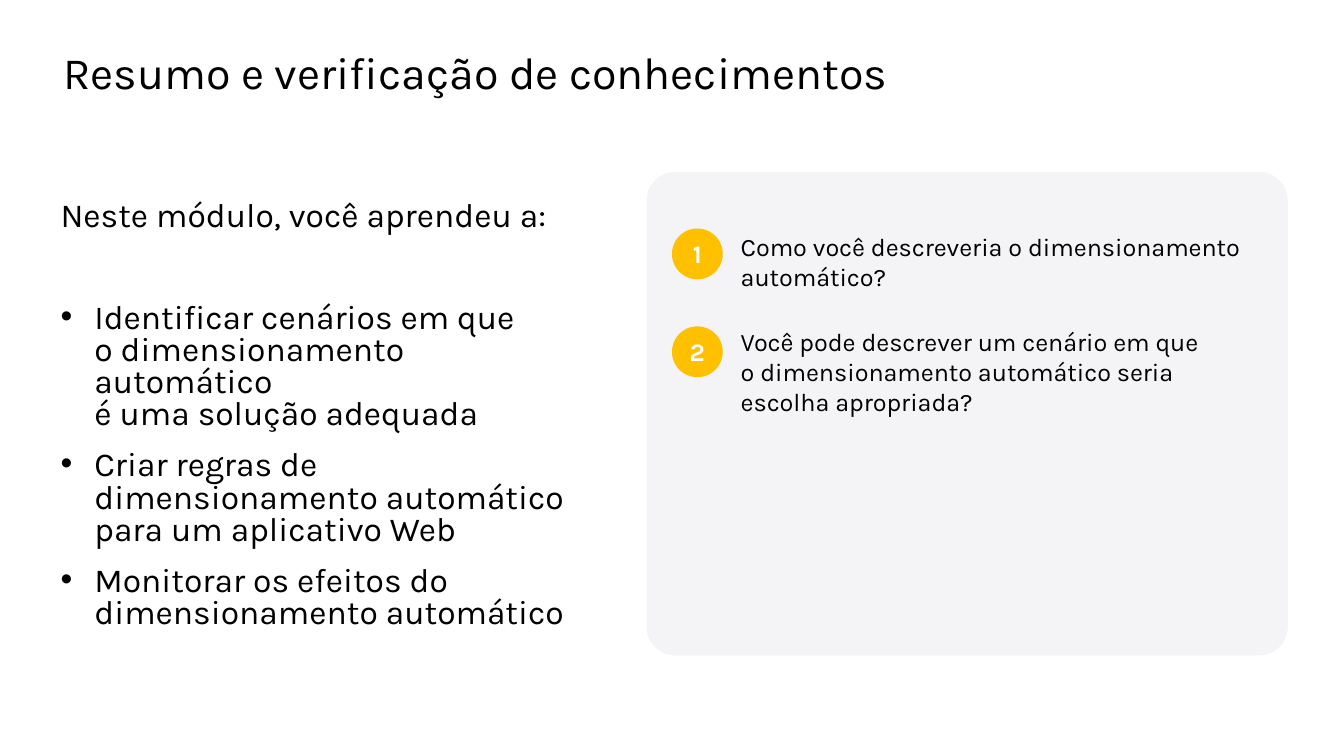
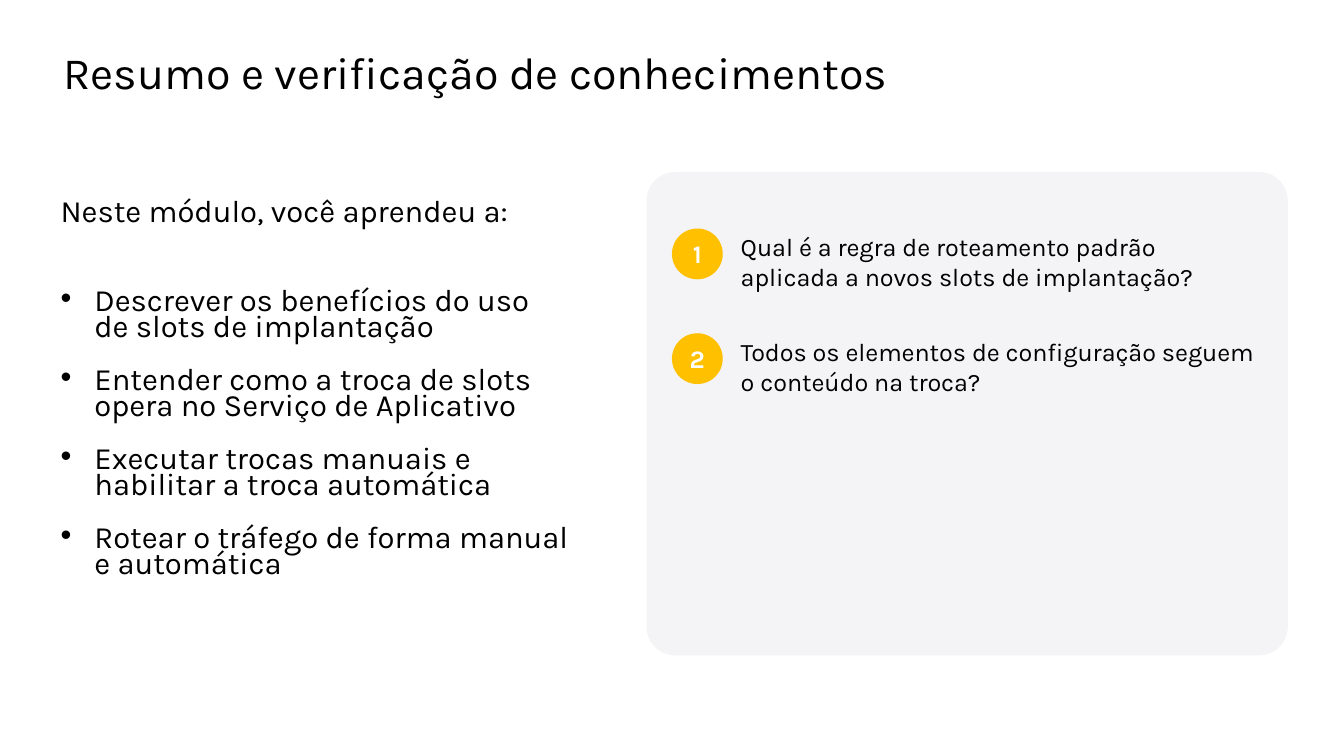
from pptx import Presentation
from pptx.dml.color import RGBColor
from pptx.enum import shapes, text
from pptx.oxml import ns
from pptx.util import Cm, Pt
from lxml import etree

BLACK = RGBColor(0x00, 0x00, 0x00)
WHITE = RGBColor(0xFF, 0xFF, 0xFF)
PANEL_GREY = RGBColor(0xF4, 0xF3, 0xF5)
BADGE_YELLOW = RGBColor(0xFF, 0xC0, 0x00)

FONT = "Karla"
TITLE = "Resumo e verificação de conhecimentos"
INTRO = "Neste módulo, você aprendeu a:"
QUESTION_SIZE = 13.5


class SummaryDeck:
    """Holds the shared style and the current page."""

    def __init__(self):
        self.deck = Presentation()
        self.deck.slide_width = Cm(25.4)
        self.deck.slide_height = Cm(14.29)
        self.page = None

    def new_page(self):
        self.page = self.deck.slides.add_slide(self.deck.slide_layouts[1])
        self.panel()
        self.title()

    def add_words(self, para, words, size, color=BLACK, bold=False):
        for number, line in enumerate(words.split("\n")):
            if number:
                para.add_line_break()
            span = para.add_run()
            span.text = line
            span.font.name = FONT
            span.font.size = Pt(size)
            span.font.bold = bold
            span.font.color.rgb = color

    def place(self, box, left, top, width, height):
        box.left, box.top = Cm(left), Cm(top)
        box.width, box.height = Cm(width), Cm(height)

    def shape(self, kind, left, top, width, height, color):
        shape = self.page.shapes.add_shape(
            kind, Cm(left), Cm(top), Cm(width), Cm(height))
        shape.shadow.inherit = False
        shape.fill.solid()
        shape.fill.fore_color.rgb = color
        shape.line.fill.background()
        return shape

    def no_margins(self, frame):
        frame.margin_left = frame.margin_right = 0
        frame.margin_top = frame.margin_bottom = 0

    def panel(self):
        panel = self.shape(shapes.MSO_SHAPE.ROUNDED_RECTANGLE,
                           12.22, 3.25, 12.12, 9.14, PANEL_GREY)
        panel.adjustments[0] = 0.06

    def title(self):
        box = self.page.shapes.title
        self.place(box, 0.94, 0.03, 21.89, 2.77)
        frame = box.text_frame
        frame.auto_size = text.MSO_AUTO_SIZE.NONE
        frame.vertical_anchor = text.MSO_ANCHOR.MIDDLE
        para = frame.paragraphs[0]
        para.alignment = text.PP_ALIGN.LEFT
        para.line_spacing = 0.9
        self.add_words(para, TITLE, 24)

    def bullet(self, para, character=None):
        props = para._p.get_or_add_pPr()
        indent = Cm(0.64) if character else 0
        props.set("marL", str(indent))
        props.set("indent", str(-indent))
        mark = etree.SubElement(
            props, ns.qn("a:buChar" if character else "a:buNone"))
        if character:
            mark.set("char", character)

    def goals(self, goals, size, spacing, first_gap, after):
        box = self.page.placeholders[1]
        self.place(box, 0.89, 3.68, 10.46, 7.85)
        frame = box.text_frame
        frame.auto_size = text.MSO_AUTO_SIZE.NONE
        for number, words in enumerate([INTRO, *goals]):
            para = frame.add_paragraph() if number else frame.paragraphs[0]
            para.line_spacing = spacing
            para.space_before = Pt(first_gap if number == 1 else 10)
            para.space_after = Pt(after if number else 0)
            self.bullet(para, "•" if number else None)
            self.add_words(para, words, size)

    def badge(self, number, top):
        frame = self.shape(shapes.MSO_SHAPE.OVAL, 12.7, top, 0.96, 0.96,
                           BADGE_YELLOW).text_frame
        self.no_margins(frame)
        frame.vertical_anchor = text.MSO_ANCHOR.MIDDLE
        para = frame.paragraphs[0]
        para.alignment = text.PP_ALIGN.CENTER
        self.add_words(para, str(number), QUESTION_SIZE, WHITE, bold=True)

    def question(self, words, top, height):
        box = self.page.shapes.add_textbox(
            Cm(14), Cm(top), Cm(9.73), Cm(height))
        frame = box.text_frame
        frame.word_wrap = True
        self.no_margins(frame)
        para = frame.paragraphs[0]
        para.space_after = Pt(4.5)
        self.add_words(para, words, QUESTION_SIZE)

    def questions(self, rows):
        for number, (words, badge_top, top, height) in enumerate(rows, 1):
            self.badge(number, badge_top)
            self.question(words, top, height)


def main():
    summary = SummaryDeck()

    # Automatic scaling
    summary.new_page()
    summary.goals([
        "Identificar cenários em que \no dimensionamento automático \n"
        "é uma solução adequada",
        "Criar regras de dimensionamento automático para um aplicativo Web",
        "Monitorar os efeitos do dimensionamento automático",
    ], size=18, spacing=0.8, first_gap=37.3, after=0)
    summary.questions([
        ("Como você descreveria o dimensionamento automático?",
         4.32, 4.37, 0.97),
        ("Você pode descrever um cenário em que \no dimensionamento "
         "automático seria escolha apropriada?", 6.17, 6.17, 1.5),
    ])

    # Deployment slots
    summary.new_page()
    summary.goals([
        "Descrever os benefícios do uso \nde slots de implantação",
        "Entender como a troca de slots opera no Serviço de Aplicativo",
        "Executar trocas manuais e habilitar a troca automática",
        "Rotear o tráfego de forma manual e automática",
    ], size=16.6, spacing=0.7, first_gap=33.8, after=4.5)
    summary.questions([
        ("Qual é a regra de roteamento padrão aplicada a novos slots de "
         "implantação?", 4.32, 4.37, 1.32),
        ("Todos os elementos de configuração seguem o conteúdo na troca?",
         6.3, 6.35, 1.32),
    ])

    summary.deck.save("out.pptx")


if __name__ == "__main__":
    main()
